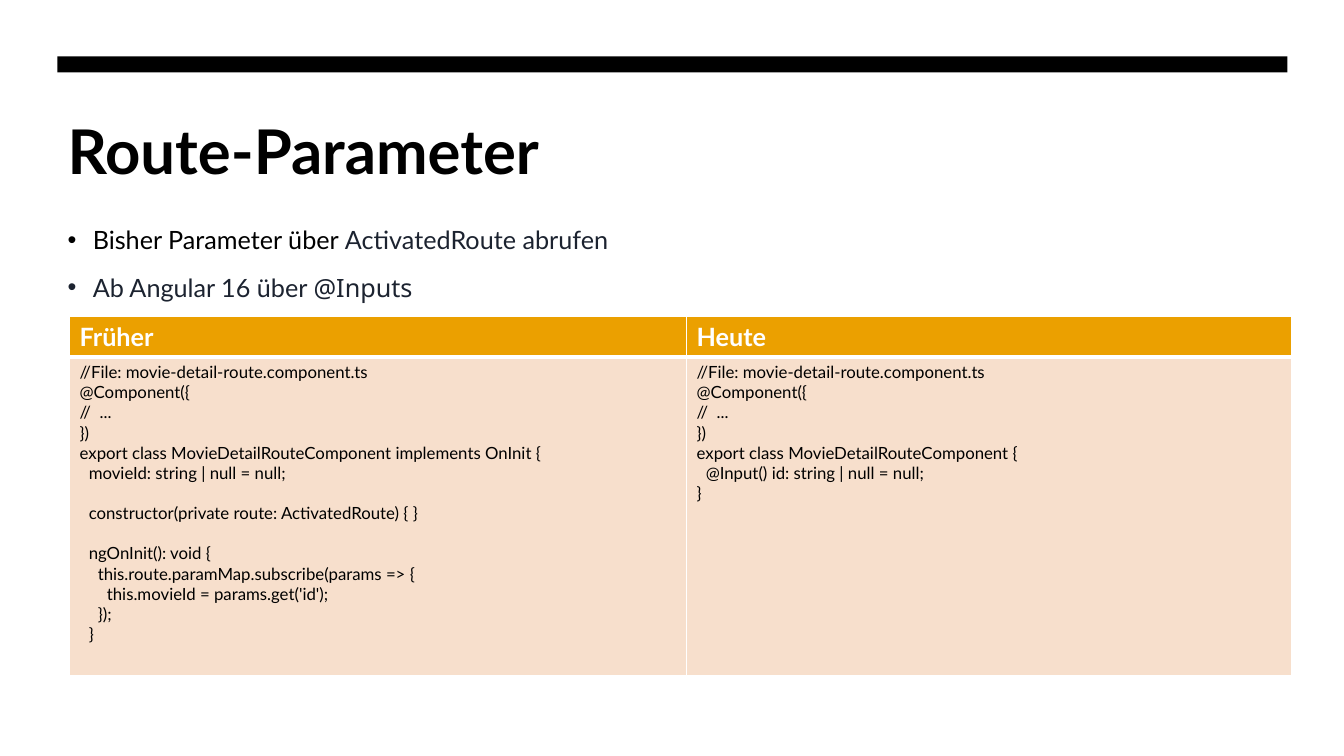
from pptx import Presentation
from pptx.dml.color import RGBColor
from pptx.enum.shapes import MSO_SHAPE
from pptx.enum.text import MSO_ANCHOR, MSO_AUTO_SIZE, PP_ALIGN
from pptx.oxml.ns import qn
from pptx.util import Inches, Pt
from lxml.etree import SubElement

BLACK = RGBColor(0x00, 0x00, 0x00)
WHITE = RGBColor(0xFF, 0xFF, 0xFF)
SLATE = RGBColor(0x1C, 0x23, 0x30)
AMBER = RGBColor(0xEB, 0xA0, 0x00)
PEACH = RGBColor(0xF7, 0xDF, 0xCC)

POINTS = [
    [("Bisher Parameter über ", BLACK, "Lato"),
     ("ActivatedRoute abrufen", SLATE, "Lato")],
    [("Ab Angular 16 über ", SLATE, "Lato"),
     ("@Inputs", SLATE, "Noto Sans")],
]

# Each code line: depth of indent, text; an empty text opens a gap.
HEAD = [
    (0, "//File: movie-detail-route.component.ts"),
    (0, "@Component({"),
    (0, "//  ..."),
    (0, "})"),
]
OLD = HEAD + [
    (0, "export class MovieDetailRouteComponent implements OnInit {"),
    (1, "movieId: string | null = null;"),
    (0, ""),
    (1, "constructor(private route: ActivatedRoute) { }"),
    (0, ""),
    (1, "ngOnInit(): void {"),
    (2, "this.route.paramMap.subscribe(params => {"),
    (3, "this.movieId = params.get('id');"),
    (2, "});"),
    (1, "}"),
]
NEW = HEAD + [
    (0, "export class MovieDetailRouteComponent {"),
    (1, "@Input() id: string | null = null;"),
    (0, "}"),
]


class Deck:
    face = "Lato"
    step = 0.09  # inches per level of code indent
    line = 14.4  # points per line of code

    def __init__(self):
        self.prs = Presentation()
        self.prs.slide_width = Inches(13.33)
        self.prs.slide_height = Inches(7.5)
        self.slide = self.prs.slides.add_slide(self.prs.slide_layouts[1])

    def style(self, para, size, color, bold=False):
        font = para.font
        font.name, font.size, font.bold = self.face, Pt(size), bold
        font.color.rgb = color

    def place(self, shape, left, top, width, height):
        shape.left, shape.top = Inches(left), Inches(top)
        shape.width, shape.height = Inches(width), Inches(height)
        frame = shape.text_frame
        frame.word_wrap = True
        frame.auto_size = MSO_AUTO_SIZE.NONE
        frame.vertical_anchor = MSO_ANCHOR.TOP
        return frame

    def bar(self, left, top, width, height):
        bar = self.slide.shapes.add_shape(
            MSO_SHAPE.RECTANGLE, Inches(left), Inches(top),
            Inches(width), Inches(height))
        bar.shadow.inherit = False
        bar.fill.solid()
        bar.fill.fore_color.rgb = BLACK
        bar.line.fill.background()

    def title(self, text, *box):
        para = self.place(self.slide.shapes.title, *box).paragraphs[0]
        para.text = text
        para.alignment = PP_ALIGN.LEFT
        self.style(para, 44, BLACK, True)

    def bullets(self, points, *box):
        frame = self.place(self.slide.placeholders[1], *box)
        for i, parts in enumerate(points):
            para = frame.add_paragraph() if i else frame.paragraphs[0]
            para.font.size = Pt(18)
            para.line_spacing = 1.1
            para.space_before = Pt(10)
            props = para._p.get_or_add_pPr()
            props.set("marL", str(Inches(0.25)))
            props.set("indent", str(Inches(-0.25)))
            for text, color, face in parts:
                run = para.add_run()
                run.text = text
                run.font.name = face
                run.font.color.rgb = color

    def cell(self, cell, fill, top, bottom):
        """Give a cell its fill and white borders."""
        props = cell._tc.get_or_add_tcPr()
        for side, width in zip("LRTB", (1, 1, top, bottom)):
            edge = SubElement(props, qn(f"a:ln{side}"), w=str(Pt(width)))
            paint = SubElement(edge, qn("a:solidFill"))
            SubElement(paint, qn("a:srgbClr"), val=str(WHITE))
        cell.fill.solid()
        cell.fill.fore_color.rgb = fill

    def code(self, frame, lines):
        gap, first = 0, True
        for depth, text in lines:
            if not text:
                gap = self.line
                continue
            para = frame.paragraphs[0] if first else frame.add_paragraph()
            para.text = text
            para.space_before = Pt(gap)
            para._p.get_or_add_pPr().set(
                "marL", str(Inches(depth * self.step)))
            self.style(para, 12, BLACK)
            gap, first = 0, False

    def table(self, left, top, widths, heights, cols):
        grid = self.slide.shapes.add_table(
            2, len(cols), Inches(left), Inches(top),
            Inches(sum(widths)), Inches(sum(heights))).table
        for row, height in zip(grid.rows, heights):
            row.height = Inches(height)
        for i, (head, lines) in enumerate(cols):
            grid.columns[i].width = Inches(widths[i])
            label, body = grid.cell(0, i), grid.cell(1, i)
            self.cell(label, AMBER, 1, 3)
            self.cell(body, PEACH, 3, 1)
            para = label.text_frame.paragraphs[0]
            para.text = head
            self.style(para, 18, WHITE, True)
            self.code(body.text_frame, lines)


def main():
    deck = Deck()
    deck.bar(0.57, 0.56, 12.2, 0.16)
    deck.title("Route-Parameter", 0.57, 1.07, 12.2, 1.6)
    deck.bullets(POINTS, 0.57, 2.15, 12.2, 4.79)
    deck.table(0.69, 3.14, (6.12, 6), (0.4, 3.16),
               [("Früher", OLD), ("Heute", NEW)])
    deck.prs.save("out.pptx")


if __name__ == "__main__":
    main()
